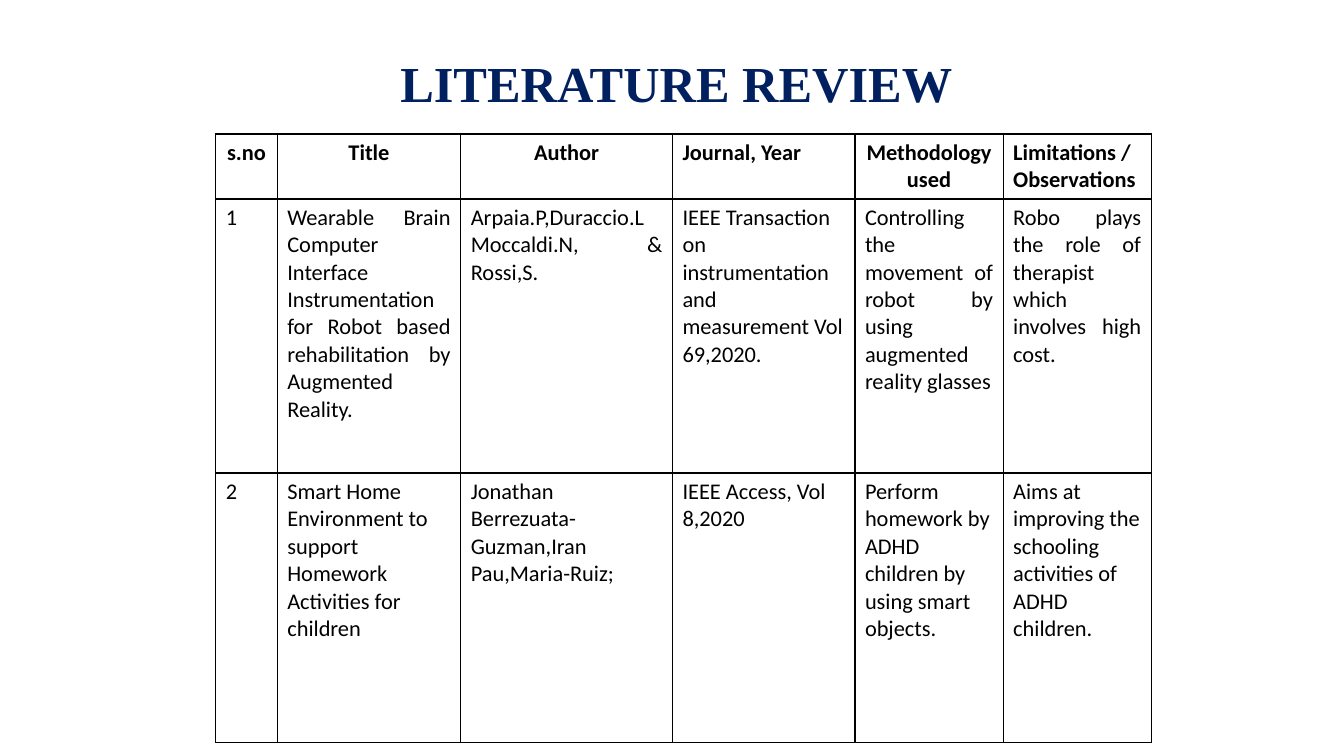
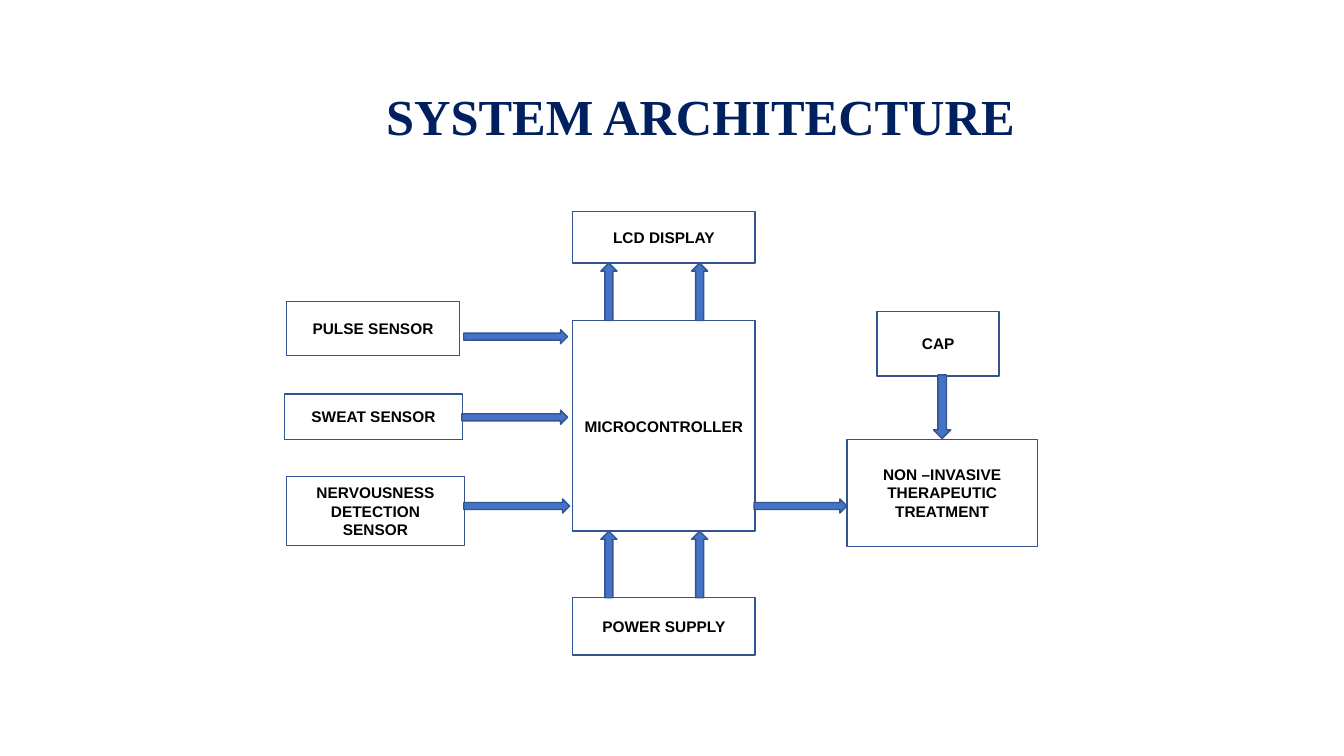
from lxml import etree
from pptx import Presentation
from pptx.dml.color import RGBColor
from pptx.enum import shapes, text
from pptx.oxml import ns
from pptx.util import Inches, Pt

NAVY, BLUE, EDGE = "002060", "4472C4", "325491"
BLACK, WHITE = "000000", "FFFFFF"
KIND = shapes.MSO_SHAPE
ALIGN = {"l": text.PP_ALIGN.LEFT, "c": text.PP_ALIGN.CENTER,
         "j": text.PP_ALIGN.JUSTIFY}


def color(code):
    return RGBColor.from_string(code)


class Deck:
    """Holds the shared style and the current slide."""

    def __init__(self):
        self.prs = Presentation()
        self.prs.slide_width = Inches(13.33)
        self.prs.slide_height = Inches(7.5)
        self.slide = None

    def style(self, frame, face, size, code, bold=True, align="l"):
        for para in frame.paragraphs:
            para.alignment = ALIGN[align]
            font = para.font
            font.name, font.size, font.bold = face, Pt(size), bold
            font.color.rgb = color(code)

    def page(self, words, left, top, width):
        self.slide = self.prs.slides.add_slide(self.prs.slide_layouts[5])
        title = self.slide.shapes.title
        title.left, title.top = Inches(left), Inches(top)
        title.width, title.height = Inches(width), Inches(1.25)
        frame = title.text_frame
        frame.text = words
        frame.word_wrap = True
        frame.auto_size = text.MSO_AUTO_SIZE.NONE
        frame.vertical_anchor = text.MSO_ANCHOR.MIDDLE
        self.style(frame, "Times New Roman", 36, NAVY)
        frame.paragraphs[0].line_spacing = 0.9

    def shape(self, kind, spot, fill):
        item = self.slide.shapes.add_shape(kind, *map(Inches, spot))
        item.shadow.inherit = False
        item.fill.solid()
        item.fill.fore_color.rgb = color(fill)
        item.line.color.rgb = color(EDGE)
        item.line.width = Pt(1)
        return item

    def box(self, words, *spot):
        frame = self.shape(KIND.RECTANGLE, spot, WHITE).text_frame
        frame.text = words
        frame.word_wrap = True
        frame.vertical_anchor = text.MSO_ANCHOR.MIDDLE
        self.style(frame, "Arial", 11, BLACK, align="c")

    def arrow(self, kind, *spot):
        self.shape(kind, spot, BLUE)

    def border(self, cell):
        props = cell._tc.get_or_add_tcPr()
        for side in ("lnL", "lnR", "lnT", "lnB"):
            line = etree.SubElement(props, ns.qn("a:" + side), w=str(Pt(1)))
            fill = etree.SubElement(line, ns.qn("a:solidFill"))
            etree.SubElement(fill, ns.qn("a:srgbClr"), val=BLACK)

    def table(self, left, top, widths, heights, rows, aligns):
        spot = map(Inches, (left, top, sum(widths), sum(heights)))
        grid = self.slide.shapes.add_table(len(rows), len(widths), *spot).table
        grid.first_row = grid.horz_banding = False
        for col, width in zip(grid.columns, widths):
            col.width = Inches(width)
        for i, (row, height) in enumerate(zip(grid.rows, heights)):
            row.height = Inches(height)
            for cell, words, align in zip(row.cells, rows[i], aligns[i]):
                cell.text = words
                self.style(cell.text_frame, "Calibri", 16, BLACK, i == 0, align)
                self.border(cell)
                cell.fill.background()


def review(deck):
    deck.page("LITERATURE REVIEW", 3.87, 0.23, 5.81)
    rows = [
        ["s.no", "Title", "Author", "Journal, Year", "Methodology used",
         "Limitations /\nObservations"],
        ["1",
         "Wearable Brain Computer Interface Instrumentation for Robot based "
         "rehabilitation by Augmented Reality.",
         "Arpaia.P,Duraccio.L Moccaldi.N, & Rossi,S.",
         "IEEE Transaction on instrumentation and measurement Vol 69,2020.",
         "Controlling the movement of robot by using augmented reality glasses",
         "Robo plays the role of therapist which involves high cost."],
        ["2",
         "Smart Home Environment to support Homework Activities for children",
         "Jonathan Berrezuata-Guzman,Iran Pau,Maria-Ruiz;",
         "IEEE Access, Vol 8,2020",
         "Perform homework by ADHD children by using smart objects.",
         "Aims at improving the schooling activities of ADHD children."],
    ]
    deck.table(2.14, 1.33, [0.61, 1.82, 2.1, 1.81, 1.47, 1.47],
               [0.64, 2.72, 2.67], rows, ["ccclcl", "jjjljj", "llllll"])


def system(deck):
    deck.page("SYSTEM ARCHITECTURE", 3.73, 0.56, 6.56)

    # Central column
    mid, wide = 5.68, 1.81
    deck.box("MICROCONTROLLER", mid, 3.18, wide, 2.09)
    deck.box("LCD DISPLAY", mid, 2.1, wide, 0.51)
    deck.box("POWER SUPPLY", mid, 5.93, wide, 0.57)
    for top, tall in ((2.61, 0.57), (5.27, 0.66)):
        for left in (5.96, 6.86):
            deck.arrow(KIND.UP_ARROW, left, top, 0.16, tall)

    # Sensors
    deck.box("PULSE SENSOR", 2.84, 2.99, 1.72, 0.54)
    deck.box("SWEAT SENSOR", 2.82, 3.91, 1.77, 0.45)
    deck.box("NERVOUSNESS DETECTION SENSOR", 2.84, 4.73, 1.77, 0.68)

    # Treatment
    deck.box("CAP", 8.7, 3.09, 1.21, 0.64)
    deck.box("NON –INVASIVE THERAPEUTIC TREATMENT", 8.4, 4.36, 1.89, 1.06)
    deck.arrow(KIND.DOWN_ARROW, 9.26, 3.72, 0.17, 0.63)

    # Signals into and out of the controller
    for left, top, width in ((4.6, 3.27, 1.03), (4.58, 4.07, 1.05),
                             (4.6, 4.95, 1.05), (7.48, 4.95, 0.92)):
        deck.arrow(KIND.RIGHT_ARROW, left, top, width, 0.14)


def main():
    deck = Deck()
    review(deck)
    system(deck)
    deck.prs.save("out.pptx")


if __name__ == "__main__":
    main()
